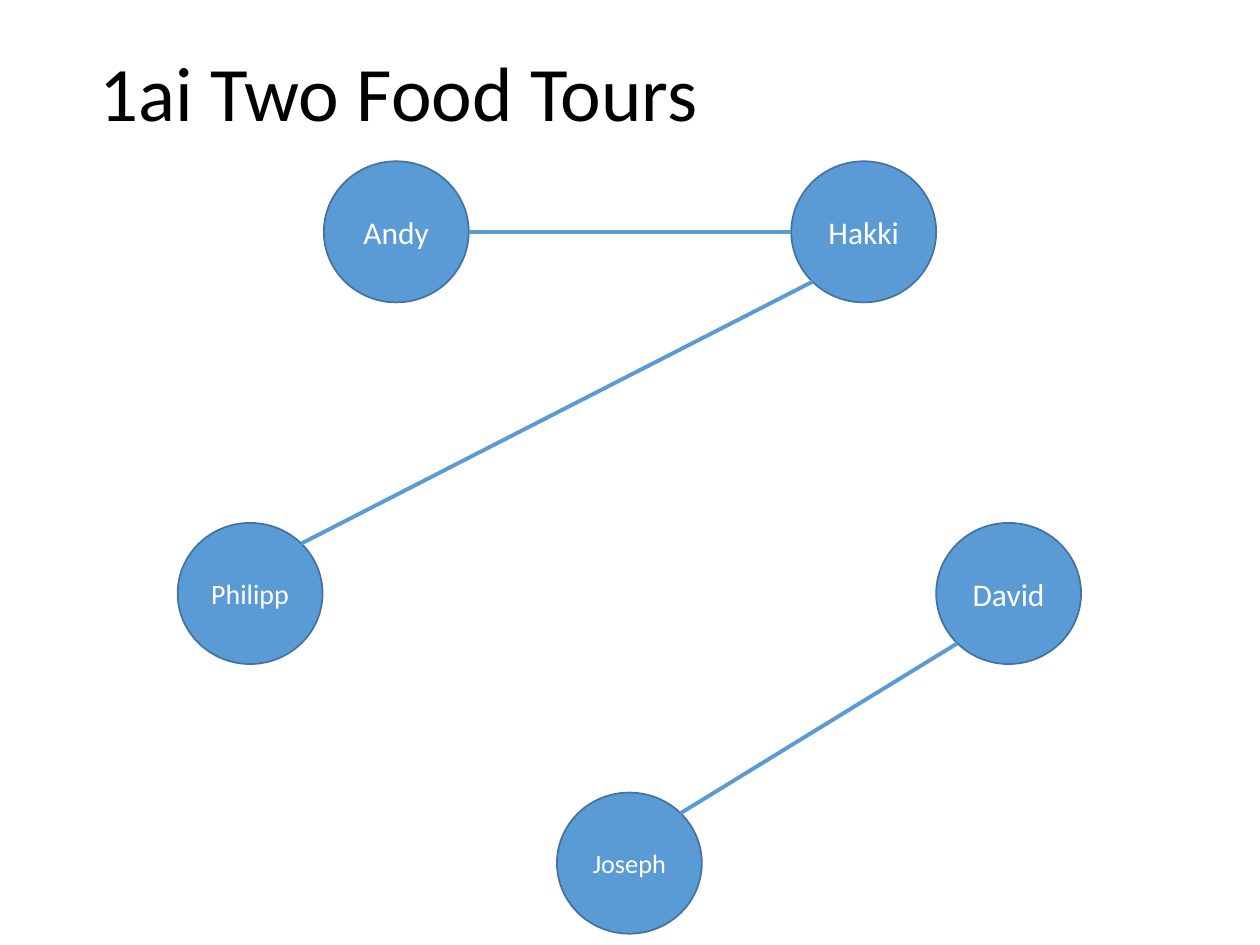
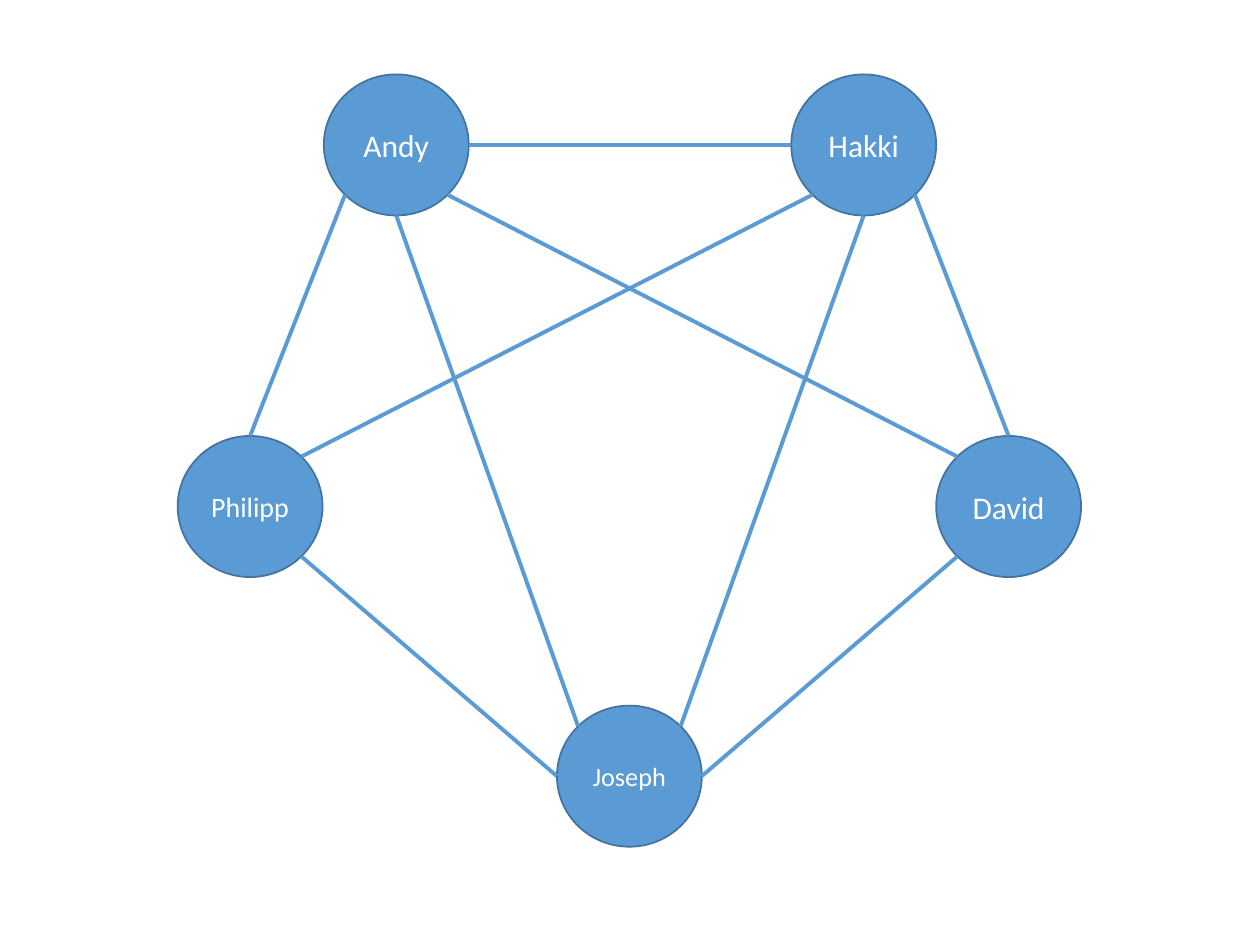
from math import cos, radians, sin

from lxml import etree
from pptx import Presentation
from pptx.dml.color import RGBColor
from pptx.enum.shapes import MSO_CONNECTOR, MSO_SHAPE
from pptx.enum.text import MSO_ANCHOR, PP_ALIGN
from pptx.oxml.ns import qn
from pptx.util import Inches, Pt

BLUE = RGBColor(0x5B, 0x9B, 0xD5)
DARK_BLUE = RGBColor(0x43, 0x73, 0x9E)
WHITE = RGBColor(0xFF, 0xFF, 0xFF)
BLACK = RGBColor(0x00, 0x00, 0x00)
FONT = "Calibri"
STRAIGHT = MSO_CONNECTOR.STRAIGHT
OVAL = MSO_SHAPE.OVAL
MIDDLE = MSO_ANCHOR.MIDDLE
CENTER = PP_ALIGN.CENTER
LEFT = PP_ALIGN.LEFT

NODE_WIDTH, NODE_HEIGHT = 1.15, 1.12
PEOPLE = {
    "Hakki": (6.28, 0, 18),
    "Andy": (2.57, 0, 18),
    "Philipp": (1.41, 2.87, 16),
    "David": (7.43, 2.87, 18),
    "Joseph": (4.42, 5.01, 15),
}
ANGLES = {"E": 0, "SE": 45, "S": 90, "SW": 135, "W": 180, "NW": 225, "N": 270, "NE": 315}
SHARED_LINKS = [("Andy", "E", "Hakki", "W"), ("Philipp", "NE", "Hakki", "SW")]
SLIDES = [
    {
        "title": "1ai Two Food Tours",
        "top": 1.28,
        "links": SHARED_LINKS + [("Joseph", "NE", "David", "SW")],
    },
    {
        "title": None,
        "top": 0.59,
        "links": SHARED_LINKS + [
            ("Joseph", "E", "David", "SW"),
            ("Philipp", "N", "Andy", "SW"),
            ("Philipp", "SE", "Joseph", "W"),
            ("Andy", "SE", "David", "NW"),
            ("Andy", "S", "Joseph", "NW"),
            ("Hakki", "S", "Joseph", "NE"),
            ("Hakki", "SE", "David", "N"),
        ],
    },
]


def write_text(shape, text, size, color, alignment):
    frame = shape.text_frame
    frame.word_wrap = True
    frame.vertical_anchor = MIDDLE
    para = frame.paragraphs[0]
    para.alignment = alignment
    span = para.add_run()
    span.text = text
    for name, value in {"name": FONT, "size": Pt(size)}.items():
        setattr(span.font, name, value)
    span.font.color.rgb = color
    return frame


def rim_point(person, side, top):
    left, drop, _ = PEOPLE[person]
    angle = radians(ANGLES[side])
    x = left + NODE_WIDTH / 2 * (1 + cos(angle))
    y = top + drop + NODE_HEIGHT / 2 * (1 + sin(angle))
    return Inches(x), Inches(y)


deck = Presentation()
deck.slide_width = Inches(10)
deck.slide_height = Inches(7.5)

for content in SLIDES:
    page = deck.slides.add_slide(deck.slide_layouts[6])
    page.background.fill.solid()
    page.background.fill.fore_color.rgb = WHITE
    top = content["top"]

    if content["title"]:
        box = page.shapes.add_textbox(Inches(0.69), Inches(0.04), Inches(8.62), Inches(1.45))
        frame = write_text(box, content["title"], 44, BLACK, LEFT)
        frame.paragraphs[0].line_spacing = 0.9

    for person, (left, drop, size) in PEOPLE.items():
        node = page.shapes.add_shape(
            OVAL, Inches(left), Inches(top + drop), Inches(NODE_WIDTH), Inches(NODE_HEIGHT)
        )
        node.shadow.inherit = False
        node.fill.solid()
        node.fill.fore_color.rgb = BLUE
        node.line.color.rgb = DARK_BLUE
        node.line.width = Pt(1)
        frame = write_text(node, person, size, WHITE, CENTER)
        frame.margin_left = frame.margin_right = 0

    for start, start_side, end, end_side in content["links"]:
        link = page.shapes.add_connector(
            STRAIGHT, *rim_point(start, start_side, top), *rim_point(end, end_side, top)
        )
        link.line.color.rgb = BLUE
        link.line.width = Pt(2.25)
        etree.SubElement(link._element.spPr, qn("a:effectLst"))

deck.save("out.pptx")
